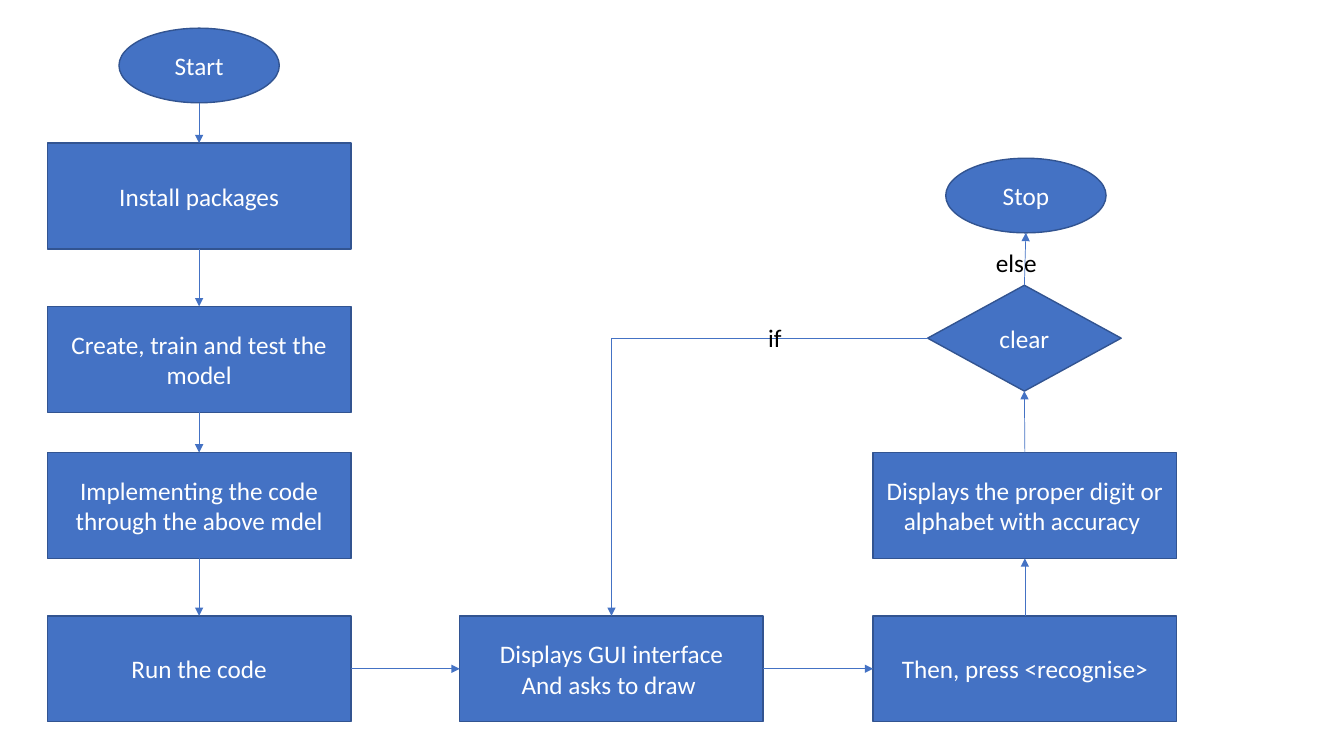
from lxml.etree import SubElement
from pptx import Presentation
from pptx.dml.color import RGBColor
from pptx.enum.shapes import MSO_CONNECTOR, MSO_SHAPE
from pptx.enum.text import MSO_ANCHOR, MSO_AUTO_SIZE, PP_ALIGN
from pptx.oxml.ns import qn
from pptx.util import Inches, Pt

BLUE = RGBColor(0x44, 0x72, 0xC4)
DARK_BLUE = RGBColor(0x32, 0x54, 0x91)
WHITE = RGBColor(0xFF, 0xFF, 0xFF)
BLACK = RGBColor(0, 0, 0)

STEP_SIZE = (3.01, 1.05)
TERMINAL_SIZE = (1.59, 0.74)
DECISION_SIZE = (1.92, 1.05)
SETUP_X, DRAW_X, RESULT_X = 0.47, 4.56, 8.66
INSTALL_Y, TRAIN_Y, CODE_Y, RUN_Y = 1.42, 3.04, 4.49, 6.11

NODES = {
    "start": (MSO_SHAPE.OVAL, 1.18, 0.28, TERMINAL_SIZE, "Start"),
    "install": (MSO_SHAPE.RECTANGLE, SETUP_X, INSTALL_Y, STEP_SIZE, "Install packages"),
    "train": (MSO_SHAPE.RECTANGLE, SETUP_X, TRAIN_Y, STEP_SIZE,
              "Create, train and test the model"),
    "implement": (MSO_SHAPE.RECTANGLE, SETUP_X, CODE_Y, STEP_SIZE,
                  "Implementing the code through the above mdel"),
    "run": (MSO_SHAPE.RECTANGLE, SETUP_X, RUN_Y, STEP_SIZE, "Run the code"),
    "draw": (MSO_SHAPE.RECTANGLE, DRAW_X, RUN_Y, STEP_SIZE,
             "Displays GUI interface\nAnd asks to draw "),
    "recognise": (MSO_SHAPE.RECTANGLE, RESULT_X, RUN_Y, STEP_SIZE,
                  "Then, press <recognise>"),
    "result": (MSO_SHAPE.RECTANGLE, RESULT_X, CODE_Y, STEP_SIZE,
               "Displays the proper digit or alphabet with accuracy "),
    "clear": (MSO_SHAPE.FLOWCHART_DECISION, 9.2, 2.83, DECISION_SIZE, "clear"),
    "stop": (MSO_SHAPE.OVAL, 9.38, 1.57, TERMINAL_SIZE, "Stop"),
}
TOP, LEFT, BOTTOM, RIGHT = range(4)
FLOWS = [
    ("start", BOTTOM, "install", TOP),
    ("install", BOTTOM, "train", TOP),
    ("train", BOTTOM, "implement", TOP),
    ("implement", BOTTOM, "run", TOP),
    ("run", RIGHT, "draw", LEFT),
    ("draw", RIGHT, "recognise", LEFT),
    ("recognise", TOP, "result", BOTTOM),
    ("result", TOP, "clear", BOTTOM),
    ("clear", TOP, "stop", BOTTOM),
    ("clear", LEFT, "draw", TOP),
]
BRANCHES = [("if", 7.52, 3.15, 1.13), ("else", 9.78, 2.4, 0.93)]

NODE_FRAME = {"word_wrap": True, "vertical_anchor": MSO_ANCHOR.MIDDLE}
BRANCH_FRAME = {"word_wrap": True, "auto_size": MSO_AUTO_SIZE.SHAPE_TO_FIT_TEXT}
FONT = {"name": "Calibri", "size": Pt(18)}


def apply_format(target, values):
    for attribute, value in values.items():
        setattr(target, attribute, value)


def write_text(frame, wording, frame_format, color, alignment):
    apply_format(frame, frame_format)
    frame.text = wording
    for paragraph in frame.paragraphs:
        paragraph.alignment = alignment
        for run in paragraph.runs:
            apply_format(run.font, FONT)
            run.font.color.rgb = color


def add_node(slide, kind, left, top, size, wording):
    node = slide.shapes.add_shape(kind, *map(Inches, (left, top, *size)))
    node.shadow.inherit = False
    node.fill.solid()
    node.fill.fore_color.rgb = BLUE
    node.line.color.rgb = DARK_BLUE
    node.line.width = Pt(1)
    write_text(node.text_frame, wording, NODE_FRAME, WHITE, PP_ALIGN.CENTER)
    return node


def side_point(node, side):
    middle_x = node.left + node.width // 2
    middle_y = node.top + node.height // 2
    return {
        TOP: (middle_x, node.top),
        LEFT: (node.left, middle_y),
        BOTTOM: (middle_x, node.top + node.height),
        RIGHT: (node.left + node.width, middle_y),
    }[side]


def add_flow(slide, source, source_side, target, target_side):
    turns = (source_side + target_side) % 2 == 1
    kind = MSO_CONNECTOR.ELBOW if turns else MSO_CONNECTOR.STRAIGHT
    flow = slide.shapes.add_connector(
        kind, *side_point(source, source_side), *side_point(target, target_side))
    if source.auto_shape_type != MSO_SHAPE.OVAL:
        flow.begin_connect(source, source_side)
    if target.auto_shape_type != MSO_SHAPE.OVAL:
        flow.end_connect(target, target_side)
    flow.line.color.rgb = BLUE
    flow.line.width = Pt(0.5)
    properties = flow._element.spPr
    if turns:
        properties.find(qn("a:prstGeom")).set("prst", "bentConnector2")
    SubElement(properties.find(qn("a:ln")), qn("a:tailEnd"), type="triangle")
    SubElement(properties, qn("a:effectLst"))


def add_branch(slide, wording, left, top, width):
    branch = slide.shapes.add_textbox(*map(Inches, (left, top, width, 0.4)))
    write_text(branch.text_frame, wording, BRANCH_FRAME, BLACK, PP_ALIGN.LEFT)


def main():
    deck = Presentation()
    deck.slide_width, deck.slide_height = Inches(13.33), Inches(7.5)
    slide = deck.slides.add_slide(deck.slide_layouts[6])
    nodes = {name: add_node(slide, *node) for name, node in NODES.items()}
    for source, source_side, target, target_side in FLOWS:
        add_flow(slide, nodes[source], source_side, nodes[target], target_side)
    for branch in BRANCHES:
        add_branch(slide, *branch)
    deck.save("out.pptx")


main()
